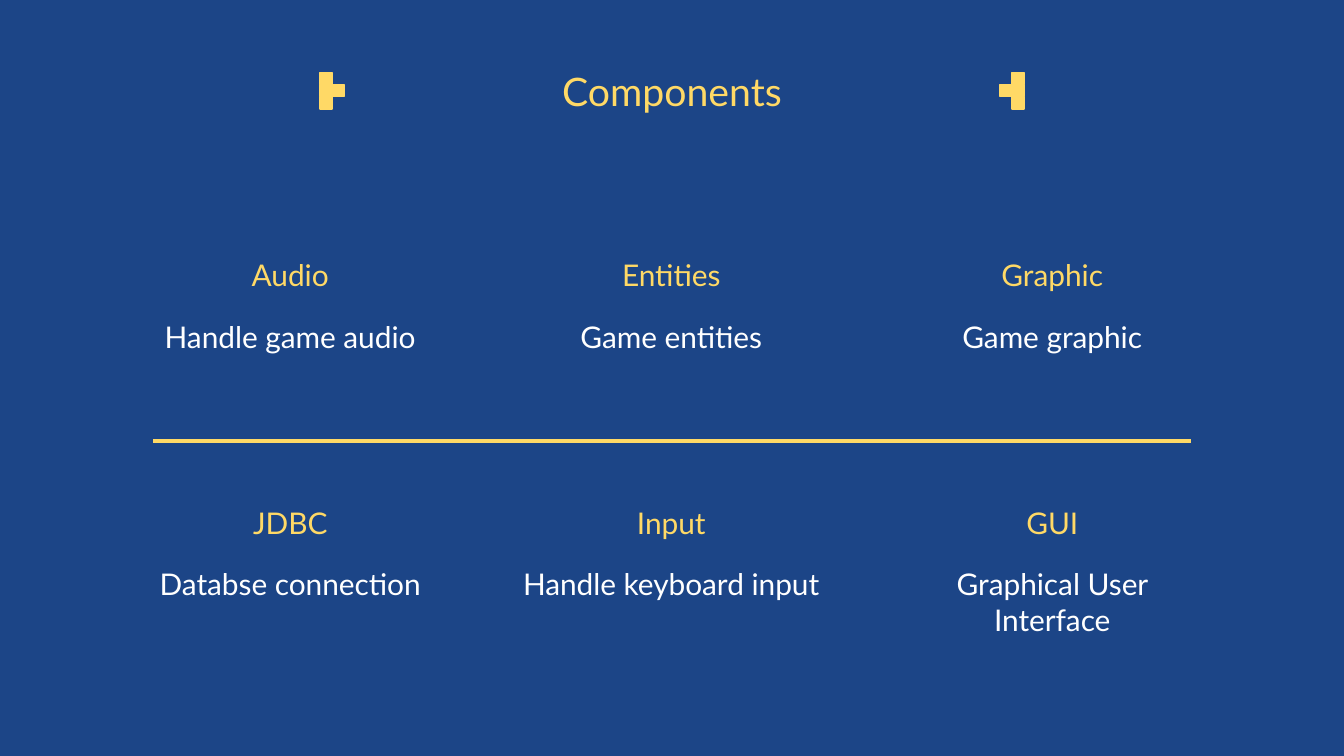
from pptx import Presentation
from pptx.dml.color import RGBColor as RGB
from pptx.enum.shapes import MSO_CONNECTOR as LINE, MSO_SHAPE as SHAPE
from pptx.enum.text import MSO_ANCHOR as ANCHOR, MSO_AUTO_SIZE as FIT, PP_ALIGN as ALIGN
from pptx.oxml.ns import qn
from pptx.util import Inches, Pt
from lxml.etree import SubElement

BLUE, GOLD, WHITE = "1C4587", "FFD966", "FFFFFF"
ROWS = [
    (1.85, [("Audio", "Handle game audio"),
            ("Entities", "Game entities"),
            ("Graphic", "Game graphic")]),
    (3.69, [("JDBC", "Databse connection"),
            ("Input", "Handle keyboard input"),
            ("GUI", "Graphical User Interface")]),
]
FIRST, LAST, WIDTH = 0.89, 6.56, 2.54
STEP = (LAST - FIRST) / 2
CELL = 0.09


def paint(target, color):
    """Give a fill a solid colour."""
    target.solid()
    target.fore_color.rgb = RGB.from_string(color)


def write(shape, text, size, color, anchor):
    """Put centred text in a shape."""
    frame = shape.text_frame
    frame.text = text
    frame.word_wrap = True
    frame.auto_size = FIT.NONE
    frame.vertical_anchor = anchor
    frame.margin_left = frame.margin_right = Inches(0.1)
    frame.margin_top = frame.margin_bottom = Inches(0.1)
    para = frame.paragraphs[0]
    para.alignment = ALIGN.CENTER
    font = para.runs[0].font
    font.name, font.size = "Lato", Pt(size)
    font.color.rgb = RGB.from_string(color)


def add_title(slide, text):
    """Place and format the slide title."""
    title = slide.shapes.title
    title.left, title.top = Inches(0.34), Inches(0.32)
    title.width, title.height = Inches(9.32), Inches(0.63)
    write(title, text, 21, GOLD, ANCHOR.BOTTOM)


def add_text(slide, left, top, height, text, color, anchor):
    """Add one text box of a component."""
    box = slide.shapes.add_textbox(
        Inches(left), Inches(top), Inches(WIDTH), Inches(height))
    write(box, text, 16, color, anchor)


def add_part(slide, left, top, name, note):
    """Add a component name with its note below."""
    add_text(slide, left, top, 0.43, name, GOLD, ANCHOR.BOTTOM)
    add_text(slide, left, top + 0.42, 0.96, note, WHITE, ANCHOR.TOP)


def add_mark(slide, left, side):
    """Add a column of three squares with a fourth on one side."""
    group = slide.shapes.add_group_shape()
    for col, row in [(0, 0), (0, 1), (0, 2), (side, 1)]:
        cell = group.shapes.add_shape(
            SHAPE.RECTANGLE, Inches(left + col * CELL),
            Inches(0.54 + row * CELL), Inches(CELL), Inches(CELL))
        cell.shadow.inherit = False
        paint(cell.fill, GOLD)
        paint(cell.line.fill, GOLD)
        cell.line.width = Pt(0.75)


def add_rule(slide, left, right, top):
    """Add a level dividing line."""
    rule = slide.shapes.add_connector(
        LINE.STRAIGHT, Inches(left), Inches(top), Inches(right), Inches(top))
    paint(rule.line.fill, GOLD)
    rule.line.width = Pt(2.25)
    SubElement(rule._element.spPr, qn("a:effectLst"))


def main():
    """Build and save the slide."""
    deck = Presentation()
    deck.slide_width, deck.slide_height = Inches(10), Inches(10 * 9 / 16)
    slide = deck.slides.add_slide(deck.slide_layouts[5])
    paint(slide.background.fill, BLUE)
    add_title(slide, "Components")
    for top, parts in ROWS:
        for col, (name, note) in enumerate(parts):
            add_part(slide, FIRST + col * STEP, top, name, note)
    add_mark(slide, 2.38, 1)
    add_mark(slide, 7.53, -1)
    add_rule(slide, 1.14, 8.86, 3.28)
    deck.save("out.pptx")


if __name__ == "__main__":
    main()
